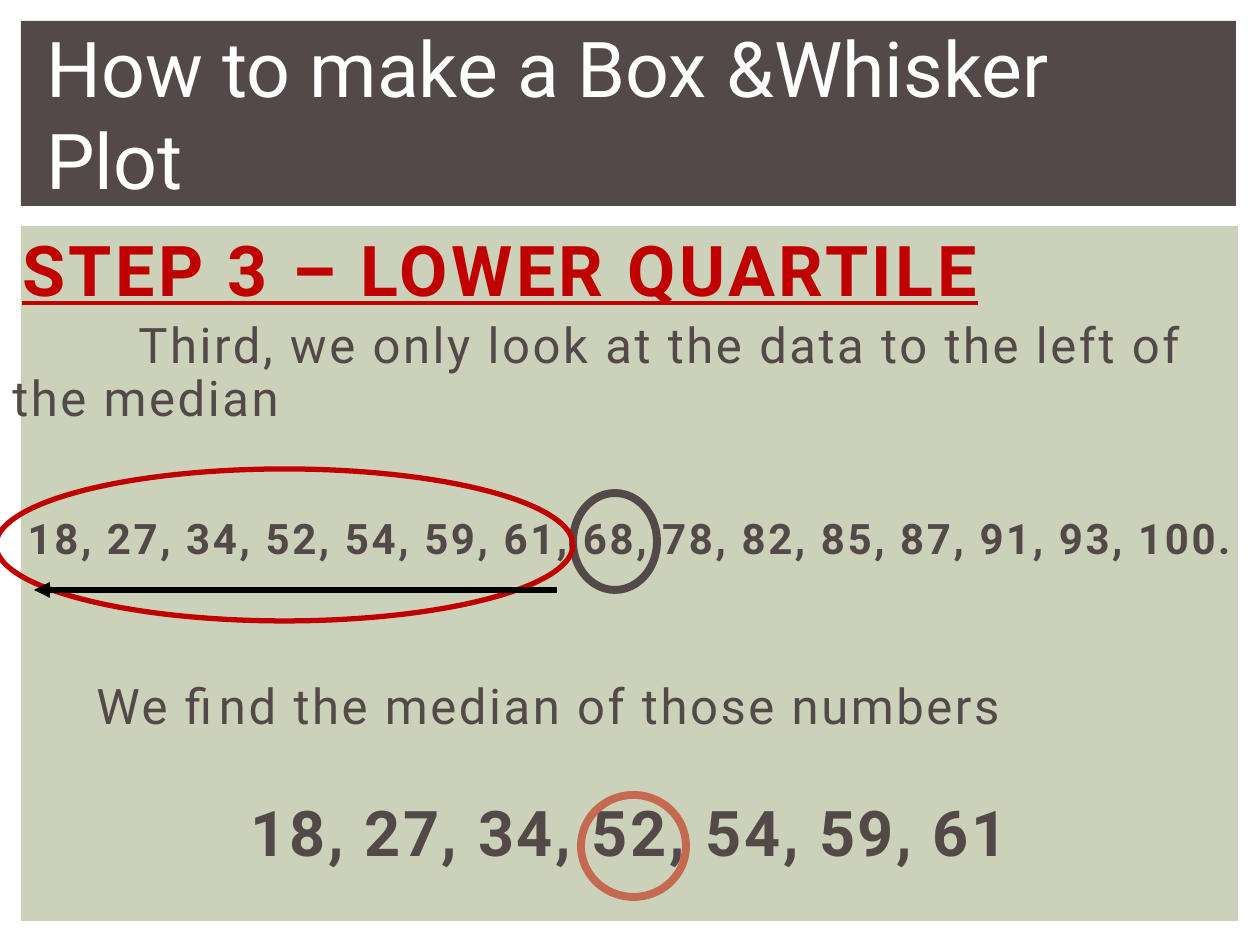
import pptx
import pptx.util
import pptx.dml.color
import pptx.enum.shapes
import pptx.enum.text
import pptx.oxml
import pptx.oxml.ns

SCALE = 914400 / 126
FONT = "Roboto"
DARK, RED, SAGE, RUST = "534949", "C00000", "CCD1B9", "C66951"
KIND = pptx.enum.shapes.MSO_SHAPE
ALIGN = pptx.enum.text.PP_ALIGN


def px(n):
    return pptx.util.Emu(round(n * SCALE))


def color(code):
    return pptx.dml.color.RGBColor.from_string(code)


def panel(slide, box, fill):
    shape = slide.shapes.add_shape(KIND.RECTANGLE, *map(px, box))
    shape.shadow.inherit = False
    shape.fill.solid()
    shape.fill.fore_color.rgb = color(fill)
    shape.line.fill.background()


def ring(slide, box, ink, width):
    shape = slide.shapes.add_shape(KIND.OVAL, *map(px, box))
    shape.shadow.inherit = False
    shape.fill.background()
    shape.line.color.rgb = color(ink)
    shape.line.width = pptx.util.Pt(width)


def arrow(slide, start, end):
    line = slide.shapes.add_connector(
        pptx.enum.shapes.MSO_CONNECTOR.STRAIGHT, *map(px, start + end))
    line.line.color.rgb = color("000000")
    line.line.width = pptx.util.Pt(3)
    tail = pptx.oxml.ns.qn("a:tailEnd")
    line.line._get_or_add_ln().makeelement(tail)
    head = pptx.oxml.parse_xml(
        f'<a:tailEnd {pptx.oxml.ns.nsdecls("a")} type="triangle"/>')
    line.line._get_or_add_ln().append(head)
    bare = pptx.oxml.parse_xml(f'<a:effectLst {pptx.oxml.ns.nsdecls("a")}/>')
    line._element.spPr.append(bare)


def frame(slide, box, middle=False):
    text = slide.shapes.add_textbox(*map(px, box)).text_frame
    text.word_wrap = True
    if middle:
        text.vertical_anchor = pptx.enum.text.MSO_ANCHOR.MIDDLE
    return text


def write(para, text, size, ink, bold=False, gap=0):
    run = para.add_run()
    run.text = text
    para.font.name = FONT
    para.font.size = pptx.util.Pt(size)
    para.font.bold = bold
    para.font.color.rgb = color(ink)
    if gap:
        run._r.get_or_add_rPr().set("spc", str(gap))


def header(slide, box):
    left, top, width, height = box
    panel(slide, box, DARK)
    text = frame(slide, (left + 13, top + 34, width - 52, 116), True)
    write(text.paragraphs[0], "How to make a Box &Whisker Plot", 44, "FFFFFF")


def title(slide, box):
    para = frame(slide, box, True).paragraphs[0]
    write(para, "STEP 3 – LOWER QUARTILE", 40, RED, True, 200)
    para.font.underline = True


def steps(slide, box):
    rows = [
        ("Third, we only look at the data to the left of the median",
         28, False, 0, 126),
        ("18, 27, 34, 52, 54, 59, 61, 68, 78, 82, 85, 87, 91, 93, 100.",
         24, True, 52, 0),
        ("We find the median of those numbers", 28, False, 68, 84),
        ("18, 27, 34, 52, 54, 59, 61", 36, True, 38, 0),
    ]
    text = frame(slide, box)
    for i, (words, size, bold, before, indent) in enumerate(rows):
        para = text.paragraphs[0] if i == 0 else text.add_paragraph()
        para.line_spacing = 0.9
        para.space_before = pptx.util.Pt(before)
        para.alignment = ALIGN.CENTER if bold else ALIGN.LEFT
        para._p.get_or_add_pPr().set("indent", str(px(indent)))
        write(para, words, size, DARK, bold, 150)


def marks(slide, box):
    left, top = box[:2]
    ring(slide, (left + 573, top + 178, 84, 97), DARK, 4.5)
    ring(slide, (left - 4, top + 154, 577, 152), RED, 3)
    arrow(slide, (left + 557, top + 275), (left + 34, top + 275))
    ring(slide, (left + 581, top + 480, 105, 102), RUST, 4.5)


def main():
    deck = pptx.Presentation()
    deck.slide_width, deck.slide_height = px(1260), px(945)
    slide = deck.slides.add_slide(deck.slide_layouts[6])
    body = (0, 315, 1260, 665)
    panel(slide, (21, 226, 1217, 695), SAGE)
    header(slide, (21, 21, 1215, 185))
    steps(slide, body)
    title(slide, (10, 189, 1134, 158))
    marks(slide, body)
    deck.save("out.pptx")


if __name__ == "__main__":
    main()
